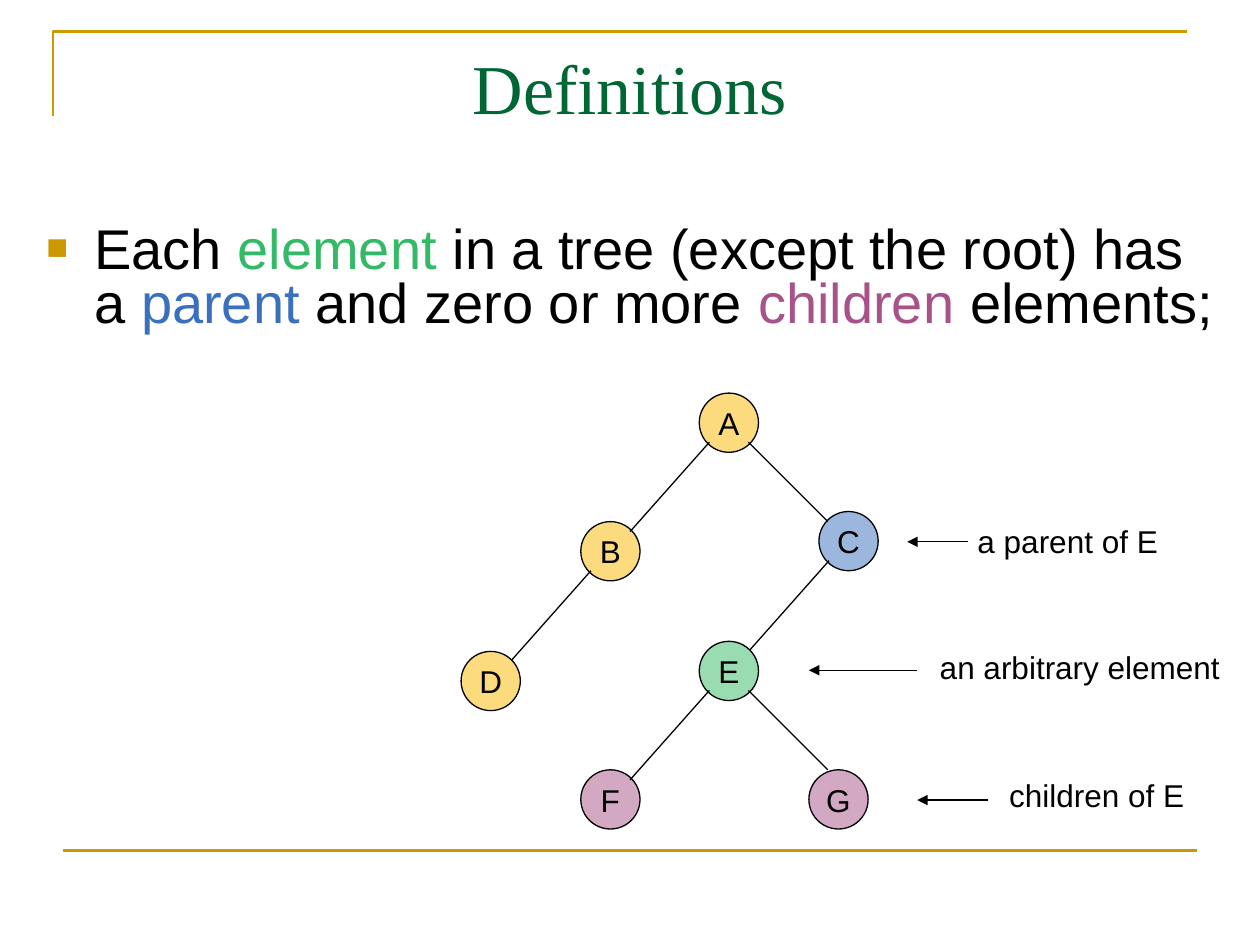
from pptx import Presentation
from pptx.dml.color import RGBColor
from pptx.enum.shapes import MSO_CONNECTOR, MSO_SHAPE
from pptx.enum.text import MSO_ANCHOR, MSO_AUTO_SIZE, PP_ALIGN
from pptx.oxml.ns import qn
from pptx.util import Inches, Pt
from lxml.etree import SubElement

HUES = {"gold": "CC9900", "title": "006633", "ink": "000000", "node": "FAB900",
        "parent": "3B70BF", "self": "34BA67", "child": "A75389"}
TITLE = "Definitions"
BODY = [("Each ", "ink"), ("element", "self"),
        (" in a tree (except the root) has a ", "ink"), ("parent", "parent"),
        (" and zero or more ", "ink"), ("children ", "child"), ("elements;", "ink")]
NODES = {"A": (5.55, 3.12, "node"), "B": (4.61, 4.14, "node"),
         "C": (6.5, 4.06, "parent"), "D": (3.66, 5.17, "node"),
         "E": (5.55, 5.09, "self"), "F": (4.61, 6.11, "child"),
         "G": (6.42, 6.11, "child")}
EDGES = [("A", "left"), ("B", "left"), ("C", "left"), ("E", "left"),
         ("A", "right"), ("E", "right")]
NOTES = [("a parent of E", (7.66, 4.09, 1.63, 0.4), (7.68, 7.2, 4.3)),
         ("an arbitrary element", (7.36, 5.09, 2.42, 0.4), (7.28, 6.42, 5.32)),
         ("children of E", (7.91, 6.11, 1.59, 0.4), (7.84, 7.28, 6.35))]

SIZE = 0.47
NEAR, FAR = 0.08, 0.39
SIDES = {"left": (NEAR, -0.63, 0.71), "right": (FAR, 0.63, 0.63)}
INDENT = 0.38
THIN, THICK = 0.75, 1.5
BOX = {"margin_left": Inches(0.1), "margin_right": Inches(0.1),
       "margin_top": Inches(0.05), "margin_bottom": Inches(0.05)}


def put(obj, **vals):
    for key, val in vals.items():
        setattr(obj, key, val)


def tint(hue):
    return RGBColor.from_string(HUES[hue])


def write(par, text, hue, size, face="Arial"):
    run = par.add_run()
    run.text = text
    put(run.font, size=Pt(size), name=face)
    run.font.color.rgb = tint(hue)


def center(frame, anchor, wrap):
    put(frame, vertical_anchor=anchor, word_wrap=wrap, **BOX)
    par = frame.paragraphs[0]
    par.alignment = PP_ALIGN.CENTER
    return par


def stroke(line, hue, width):
    line.color.rgb = tint(hue)
    line.width = Pt(width)


def link(slide, start, end, hue="ink", width=THIN, arrow=False):
    line = slide.shapes.add_connector(
        MSO_CONNECTOR.STRAIGHT, *map(Inches, start + end))
    stroke(line.line, hue, width)
    props = line._element.spPr
    if arrow:
        SubElement(props.find(qn("a:ln")), qn("a:tailEnd"), type="triangle")
    SubElement(props, qn("a:effectLst"))


def label(slide, spot, wrap):
    frame = slide.shapes.add_textbox(*map(Inches, spot)).text_frame
    put(frame, word_wrap=wrap, **BOX)
    return frame


def add_frame(slide):
    pen = slide.shapes.build_freeform(Inches(0.42), Inches(0.92))
    turns = [(0.42, 0.25), (9.42, 0.25)]
    pen.add_line_segments([(Inches(x), Inches(y)) for x, y in turns], close=False)
    corner = pen.convert_to_shape()
    corner.fill.background()
    corner.shadow.inherit = False
    stroke(corner.line, "gold", THICK)
    link(slide, (0.5, 6.75), (9.5, 6.75), "gold", THICK)


def add_title(slide):
    title = slide.shapes.title
    put(title, left=Inches(0.5), top=Inches(0.3),
        width=Inches(9), height=Inches(1.25))
    par = center(title.text_frame, MSO_ANCHOR.TOP, True)
    write(par, TITLE, "title", 40, "Times New Roman")


def add_body(slide):
    par = label(slide, (0.27, 1.75, 9.53, 4.95), True).paragraphs[0]
    put(par, line_spacing=0.8, space_before=Pt(8))
    props = par._p.get_or_add_pPr()
    props.set("marL", str(Inches(INDENT)))
    props.set("indent", str(-Inches(INDENT)))
    SubElement(SubElement(props, qn("a:buClr")), qn("a:srgbClr"), val=HUES["gold"])
    SubElement(props, qn("a:buSzPct"), val="65000")
    SubElement(props, qn("a:buFont"), typeface="Arial")
    SubElement(props, qn("a:buChar"), char="■")
    for text, hue in BODY:
        write(par, text, hue, 32)


def add_node(slide, name, x, y, hue):
    node = slide.shapes.add_shape(
        MSO_SHAPE.OVAL, *map(Inches, (x, y, SIZE, SIZE)))
    node.shadow.inherit = False
    node.fill.solid()
    node.fill.fore_color.rgb = tint(hue)
    color = node._element.spPr.find(qn("a:solidFill"))[0]
    SubElement(color, qn("a:alpha"), val="50000")
    stroke(node.line, "ink", THIN)
    write(center(node.text_frame, MSO_ANCHOR.MIDDLE, False), name, "ink", 18)


def add_edge(slide, parent, side):
    left, top, hue = NODES[parent]
    inset, across, down = SIDES[side]
    x, y = left + inset, top + FAR
    link(slide, (x, y), (x + across, y + down))


def add_note(slide, text, spot, arrow):
    start, end, y = arrow
    link(slide, (start, y), (end, y), arrow=True)
    frame = label(slide, spot, False)
    frame.auto_size = MSO_AUTO_SIZE.SHAPE_TO_FIT_TEXT
    write(frame.paragraphs[0], text, "ink", 18)


def main():
    deck = Presentation()
    put(deck, slide_width=Inches(10), slide_height=Inches(7.5))
    slide = deck.slides.add_slide(deck.slide_layouts[5])
    add_frame(slide)
    add_title(slide)
    add_body(slide)
    for name, place in NODES.items():
        add_node(slide, name, *place)
    for edge in EDGES:
        add_edge(slide, *edge)
    for note in NOTES:
        add_note(slide, *note)
    deck.save("out.pptx")


if __name__ == "__main__":
    main()
